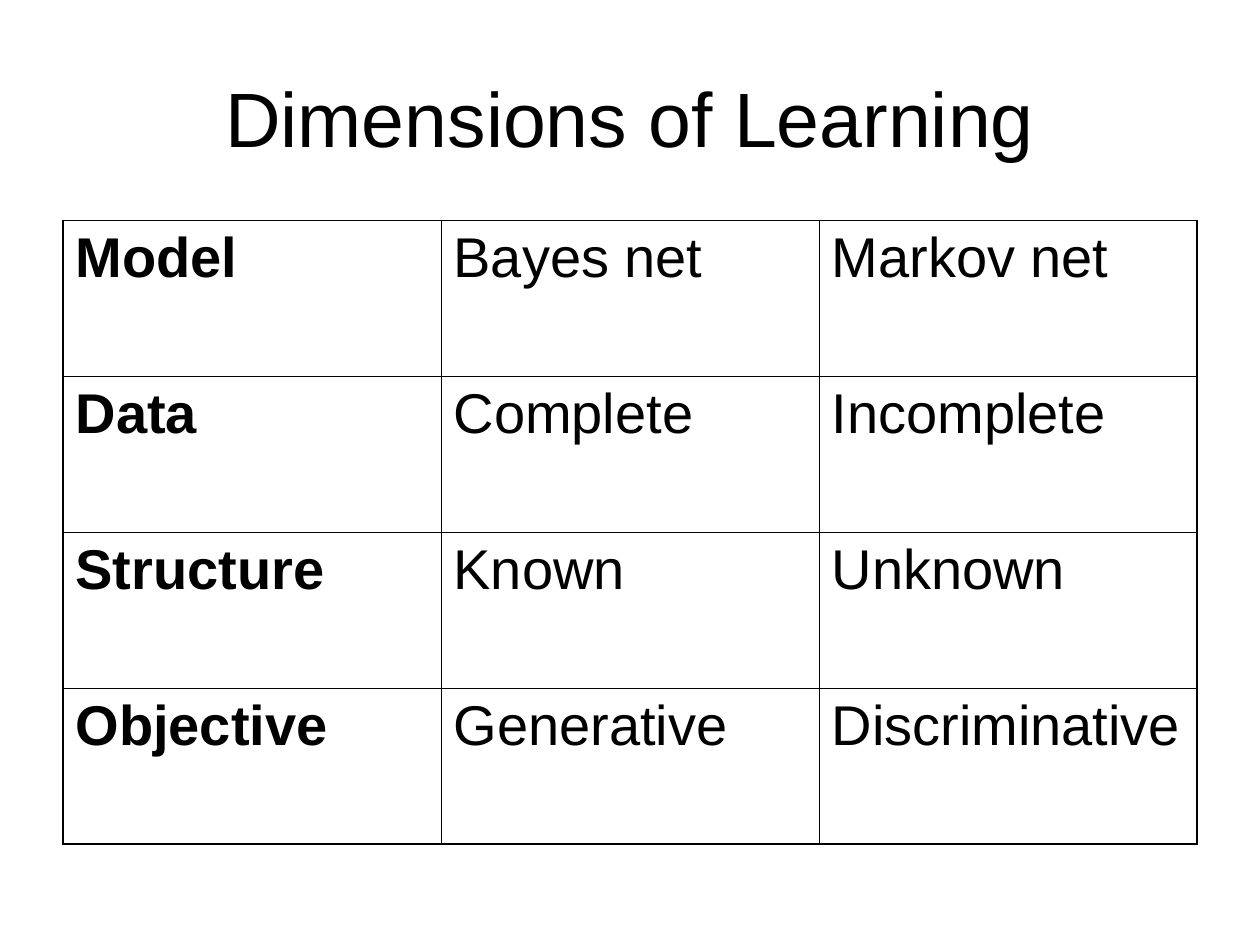
from dataclasses import dataclass

from lxml.etree import SubElement
from pptx import Presentation
from pptx.dml.color import RGBColor
from pptx.enum.text import MSO_ANCHOR as Anchor, PP_ALIGN as Align
from pptx.oxml.ns import qn
from pptx.util import Inches, Pt


@dataclass(frozen=True)
class Theme:
    font: str = "Arial"
    ink: str = "000000"
    title_size: float = 44
    cell_size: float = 32
    outer_line: float = 1.08
    inner_line: float = 0.45


DIMENSIONS = [
    ("Model", "Bayes net", "Markov net"),
    ("Data", "Complete", "Incomplete"),
    ("Structure", "Known", "Unknown"),
    ("Objective", "Generative", "Discriminative"),
]


class SlideBuilder:
    def __init__(self, slide, theme):
        self.slide = slide
        self.theme = theme

    def set_text(self, frame, text, size, align, bold=False):
        frame.text = text
        paragraph = frame.paragraphs[0]
        paragraph.alignment = align
        for run in paragraph.runs:
            run.font.name = self.theme.font
            run.font.size = Pt(size)
            run.font.bold = bold
            run.font.color.rgb = RGBColor.from_string(self.theme.ink)

    def title(self, text, left, top, width, height):
        heading = self.slide.shapes.title
        heading.left, heading.top = Inches(left), Inches(top)
        heading.width, heading.height = Inches(width), Inches(height)
        heading.text_frame.vertical_anchor = Anchor.MIDDLE
        self.set_text(heading.text_frame, text, self.theme.title_size, Align.CENTER)

    def borders(self, cell, outer_sides):
        """Draw all four cell edges, heavier on the sides that face outwards."""
        properties = cell._tc.get_or_add_tcPr()
        for position, side in enumerate("LRTB"):
            outer = side in outer_sides
            width = self.theme.outer_line if outer else self.theme.inner_line
            line = SubElement(properties, qn(f"a:ln{side}"), w=str(Pt(width)))
            fill = SubElement(line, qn("a:solidFill"))
            SubElement(fill, qn("a:srgbClr"), val=self.theme.ink)
            # The schema wants the edges ahead of the cell fill.
            properties.insert(position, line)

    def table(self, rows, left, top, width, height):
        """Add an evenly spaced grid whose first column is bold."""
        last_row, last_column = len(rows) - 1, len(rows[0]) - 1
        grid = self.slide.shapes.add_table(
            len(rows), len(rows[0]),
            Inches(left), Inches(top), Inches(width), Inches(height),
        ).table
        grid.first_row = grid.horz_banding = False
        for r, row in enumerate(rows):
            for c, text in enumerate(row):
                cell = grid.cell(r, c)
                cell.fill.background()
                cell.vertical_anchor = Anchor.TOP
                self.set_text(cell.text_frame, text, self.theme.cell_size,
                              Align.LEFT, bold=c == 0)
                on_edge = {"L": c == 0, "R": c == last_column,
                           "T": r == 0, "B": r == last_row}
                self.borders(cell, [side for side in on_edge if on_edge[side]])


def main():
    deck = Presentation()
    deck.slide_width, deck.slide_height = Inches(10), Inches(7.5)
    title_only = deck.slide_layouts[5]
    builder = SlideBuilder(deck.slides.add_slide(title_only), Theme())
    builder.title("Dimensions of Learning", 0.5, 0.3, 9, 1.25)
    builder.table(DIMENSIONS, 0.5, 1.75, 9, 4.95)
    deck.save("out.pptx")


if __name__ == "__main__":
    main()
